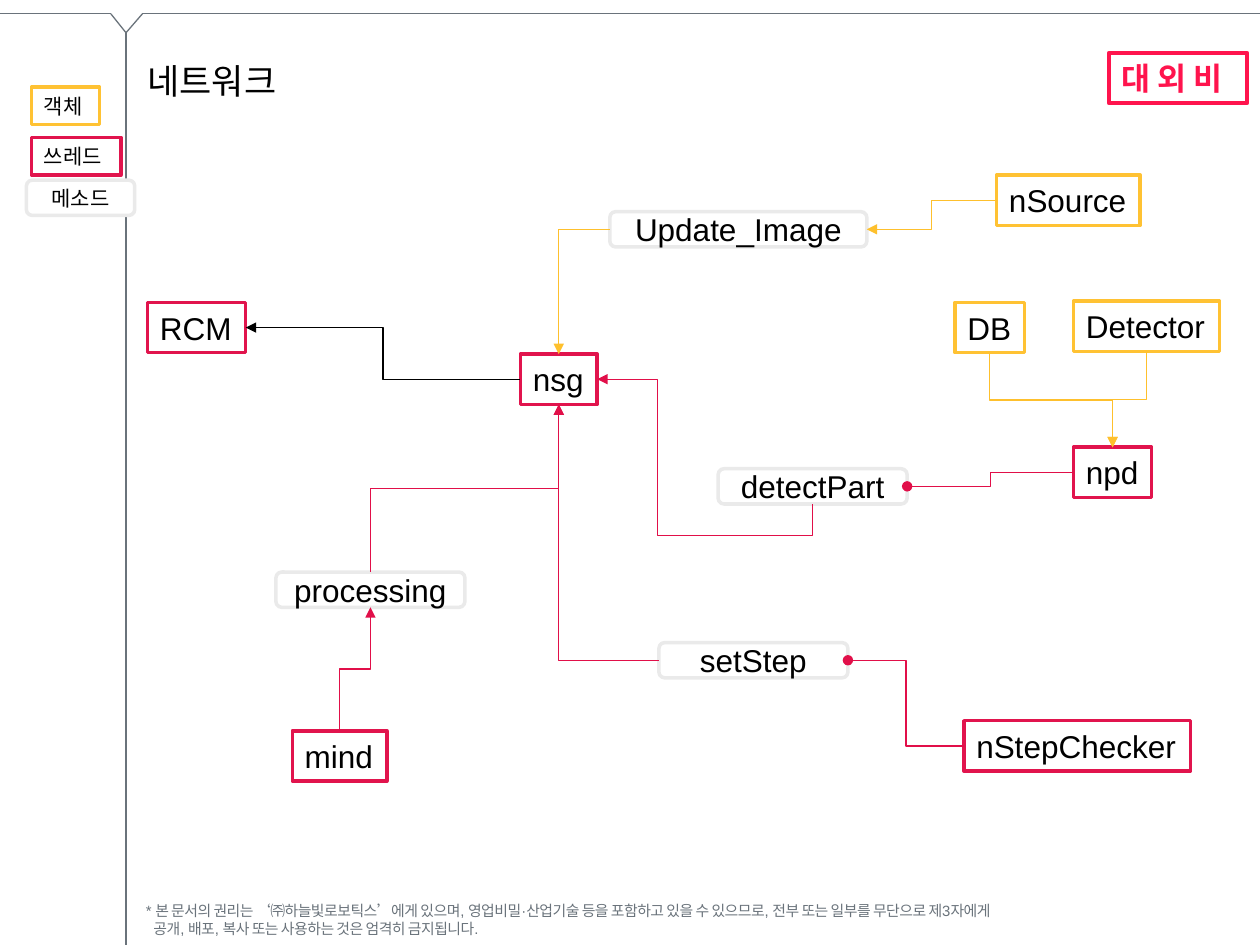
from lxml.etree import SubElement
from pptx import Presentation
from pptx.dml.color import RGBColor
from pptx.enum.shapes import MSO_CONNECTOR, MSO_SHAPE
from pptx.enum.text import MSO_ANCHOR, MSO_AUTO_SIZE, PP_ALIGN
from pptx.oxml.ns import qn
from pptx.util import Inches, Pt

BLACK, WHITE, GREY, PALE = "000000", "FFFFFF", "6A737B", "EAEAEA"
OBJECT, THREAD, ALERT = "FFC233", "E1144D", "FF144D"
OBJECT_FLOW, THREAD_FLOW = "FEC02D", "E10F49"


def color(value):
    return RGBColor.from_string(value)


def write(para, text, size=18, hue=BLACK, bold=False, align=PP_ALIGN.LEFT, spacing=None):
    para.alignment = align
    span = para.add_run()
    span.text = text
    span.font.name = "Arial"
    span.font.size = Pt(size)
    span.font.bold = bold
    span.font.color.rgb = color(hue)
    if spacing is not None:
        span.font._element.set("spc", str(round(spacing * 100)))


def port(box, side):
    """Return the middle of one side of a box."""
    across = {"left": 0, "right": 1}.get(side, 0.5)
    down = {"top": 0, "bottom": 1}.get(side, 0.5)
    return box.left + box.width * across, box.top + box.height * down


class Diagram:
    """Hold the style and current slide, and draw each kind of element."""

    def __init__(self, slide):
        self.slide = slide

    def title(self, text, left, top, width, height):
        box = self.slide.shapes.title
        box.left, box.top, box.width, box.height = map(Inches, (left, top, width, height))
        box.text_frame.auto_size = MSO_AUTO_SIZE.NONE
        box.text_frame.vertical_anchor = MSO_ANCHOR.MIDDLE
        write(box.text_frame.paragraphs[0], text, size=20)

    def shape(self, kind, left, top, width, height, outline, weight, fill=WHITE):
        box = self.slide.shapes.add_shape(kind, *map(Inches, (left, top, width, height)))
        box.shadow.inherit = False
        if fill:
            box.fill.solid()
            box.fill.fore_color.rgb = color(fill)
        else:
            box.fill.background()
        box.line.color.rgb = color(outline)
        box.line.width = Pt(weight)
        return box

    def node(self, text, left, top, width, outline, height=0.4, size=18):
        box = self.shape(MSO_SHAPE.RECTANGLE, left, top, width, height, outline, 2)
        frame = box.text_frame
        frame.word_wrap = False
        frame.auto_size = MSO_AUTO_SIZE.SHAPE_TO_FIT_TEXT
        frame.vertical_anchor = MSO_ANCHOR.TOP
        write(frame.paragraphs[0], text, size=size)
        return box

    def method(self, text, left, top, width=1.5, size=18):
        box = self.shape(MSO_SHAPE.ROUNDED_RECTANGLE, left, top, width, 0.28, PALE, 2)
        box.text_frame.word_wrap = True
        box.text_frame.vertical_anchor = MSO_ANCHOR.MIDDLE
        write(box.text_frame.paragraphs[0], text, size=size, align=PP_ALIGN.CENTER)
        return box

    def stamp(self, text, left, top, width, height):
        box = self.shape(MSO_SHAPE.RECTANGLE, left, top, width, height, ALERT, 2.25, fill=None)
        box.text_frame.word_wrap = True
        box.text_frame.vertical_anchor = MSO_ANCHOR.TOP
        write(box.text_frame.paragraphs[0], text, hue=ALERT, bold=True)

    def notice(self, lines, left, top, width, height):
        box = self.slide.shapes.add_textbox(*map(Inches, (left, top, width, height)))
        frame = box.text_frame
        frame.word_wrap = True
        for index, text in enumerate(lines):
            para = frame.add_paragraph() if index else frame.paragraphs[0]
            write(para, text, size=8.5, hue=GREY, spacing=-0.3)
            if index:
                para._p.get_or_add_pPr().set("marL", str(Inches(0.06)))

    def line(self, start, end, hue, kind=MSO_CONNECTOR.STRAIGHT):
        link = self.slide.shapes.add_connector(kind, *map(round, (*start, *end)))
        link.line.color.rgb = color(hue)
        link.line.width = Pt(0.75)
        SubElement(link._element.spPr, qn("a:effectLst"))
        return link

    def elbow(self, source, source_side, target, target_side, hue,
              head=None, tail=None, bends=3, adjustments=()):
        start, end = port(source, source_side), port(target, target_side)
        upright = source_side in ("top", "bottom")
        if upright:
            middle_x, middle_y = (start[0] + end[0]) / 2, (start[1] + end[1]) / 2
            half_x, half_y = (end[1] - start[1]) / 2, (start[0] - end[0]) / 2
            start = middle_x - half_x, middle_y - half_y
            end = middle_x + half_x, middle_y + half_y
        link = self.line(start, end, hue, MSO_CONNECTOR.ELBOW)
        properties = link._element.spPr
        if upright:
            properties.find(qn("a:xfrm")).set("rot", str(90 * 60000))
        geometry = properties.find(qn("a:prstGeom"))
        geometry.set("prst", f"bentConnector{bends}")
        guides = geometry.find(qn("a:avLst"))
        for number, value in enumerate(adjustments, 1):
            SubElement(guides, qn("a:gd"), name=f"adj{number}",
                       fmla=f"val {round(value * 100000)}")
        outline = properties.find(qn("a:ln"))
        for tag, arrow in (("a:headEnd", head), ("a:tailEnd", tail)):
            if arrow:
                SubElement(outline, qn(tag), type=arrow)


def main():
    deck = Presentation()
    deck.slide_width, deck.slide_height = Inches(10), Inches(7.5)
    diagram = Diagram(deck.slides.add_slide(deck.slide_layouts[5]))

    rail = [(0, 0.11), (0.88, 0.11), (1, 0.26), (1.13, 0.11), (10, 0.11)]
    for start, end in [*zip(rail, rail[1:]), ((1, 0.26), (1, 7.5))]:
        diagram.line(map(Inches, start), map(Inches, end), GREY)
    diagram.stamp("대 외 비", 8.8, 0.42, 1.1, 0.4)
    diagram.notice([
        "* 본 문서의 권리는 ‘㈜하늘빛로보틱스’에게 있으며, 영업비밀·산업기술 등을 포함하고 있을 수 있으므로, "
        "전부 또는 일부를 무단으로 제3자에게",
        "공개, 배포, 복사 또는 사용하는 것은 엄격히 금지됩니다.",
    ], 1.06, 7.11, 7.4, 0.39)
    diagram.title("네트워크", 1.07, 0.44, 8.73, 0.39)

    diagram.node("객체", 0.25, 0.69, 0.54, OBJECT, height=0.3, size=12)
    diagram.node("쓰레드", 0.25, 1.09, 0.71, THREAD, height=0.3, size=12)
    diagram.method("메소드", 0.21, 1.43, 0.86, size=12)

    nsg = diagram.node("nsg", 4.13, 2.81, 0.61, THREAD)
    npd = diagram.node("npd", 8.52, 3.55, 0.62, THREAD)
    checker = diagram.node("nStepChecker", 7.65, 5.72, 1.8, THREAD)
    rcm = diagram.node("RCM", 1.17, 2.4, 0.78, THREAD)
    mind = diagram.node("mind", 2.32, 5.8, 0.75, THREAD)
    source = diagram.node("nSource", 7.91, 1.39, 1.14, OBJECT)
    database = diagram.node("DB", 7.58, 2.4, 0.55, OBJECT)
    detector = diagram.node("Detector", 8.52, 2.39, 1.16, OBJECT)
    detect = diagram.method("detectPart", 5.7, 3.72)
    step = diagram.method("setStep", 5.23, 5.1)
    update = diagram.method("Update_Image", 4.84, 1.68, 2.04)
    processing = diagram.method("processing", 2.19, 4.54)

    arrow, dot = "triangle", "oval"
    diagram.elbow(npd, "left", detect, "right", THREAD_FLOW, tail=dot)
    diagram.elbow(nsg, "right", detect, "bottom", THREAD_FLOW, head=arrow,
                  bends=4, adjustments=(0.28, 1.25))
    diagram.elbow(checker, "left", step, "right", THREAD_FLOW, tail=dot)
    diagram.elbow(nsg, "bottom", step, "left", THREAD_FLOW, head=arrow, bends=2)
    diagram.elbow(rcm, "right", nsg, "left", BLACK, head=arrow)
    diagram.elbow(source, "left", update, "right", OBJECT_FLOW, tail=arrow)
    diagram.elbow(update, "left", nsg, "top", OBJECT_FLOW, tail=arrow, bends=2)
    for item in (database, detector):
        diagram.elbow(item, "bottom", npd, "top", OBJECT_FLOW, tail=arrow)
    diagram.elbow(nsg, "bottom", processing, "top", THREAD_FLOW, head=arrow)
    diagram.elbow(processing, "bottom", mind, "top", THREAD_FLOW, head=arrow)
    deck.save("out.pptx")


if __name__ == "__main__":
    main()
